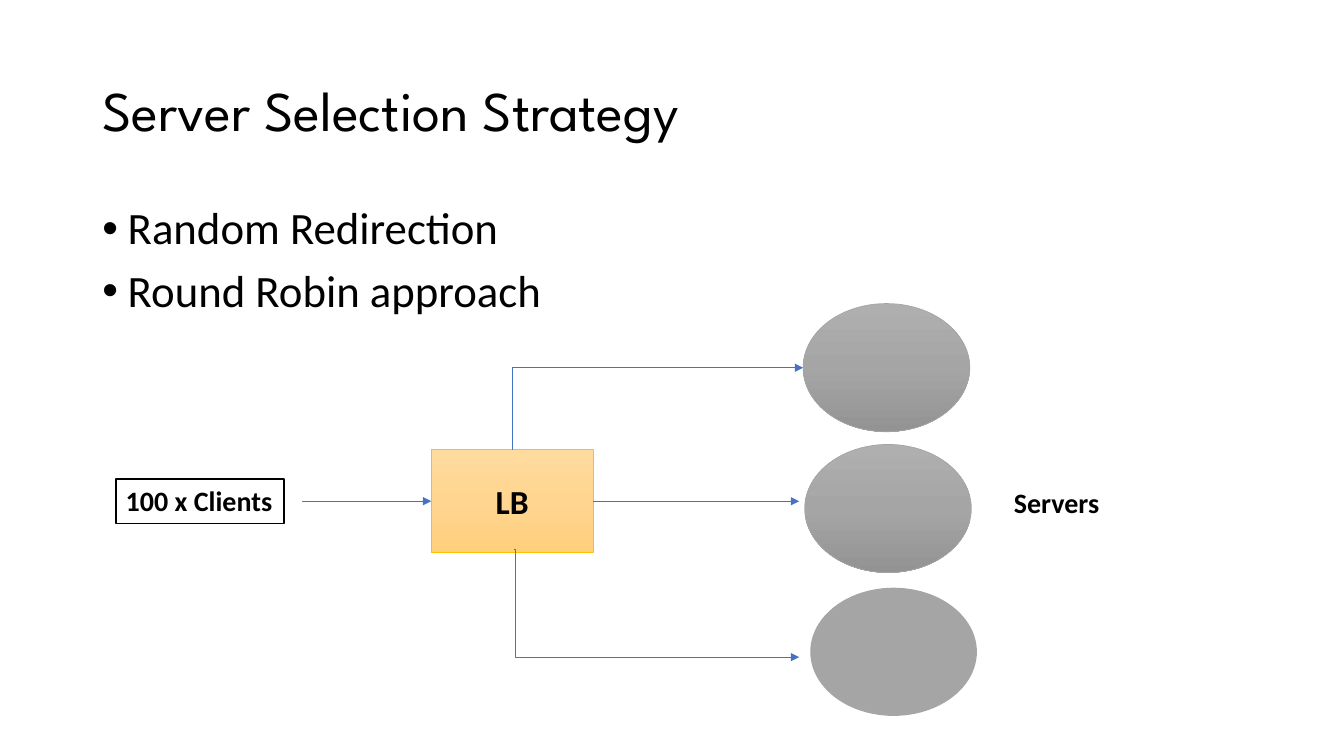
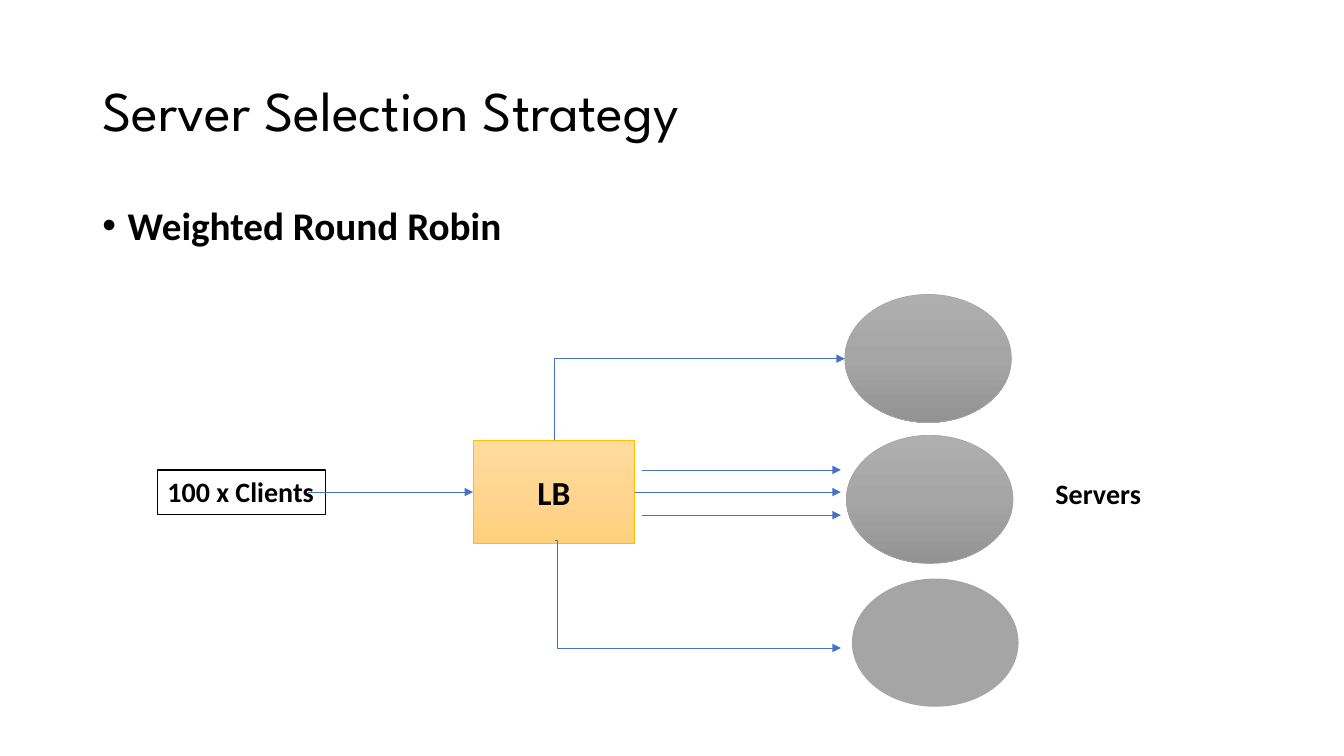
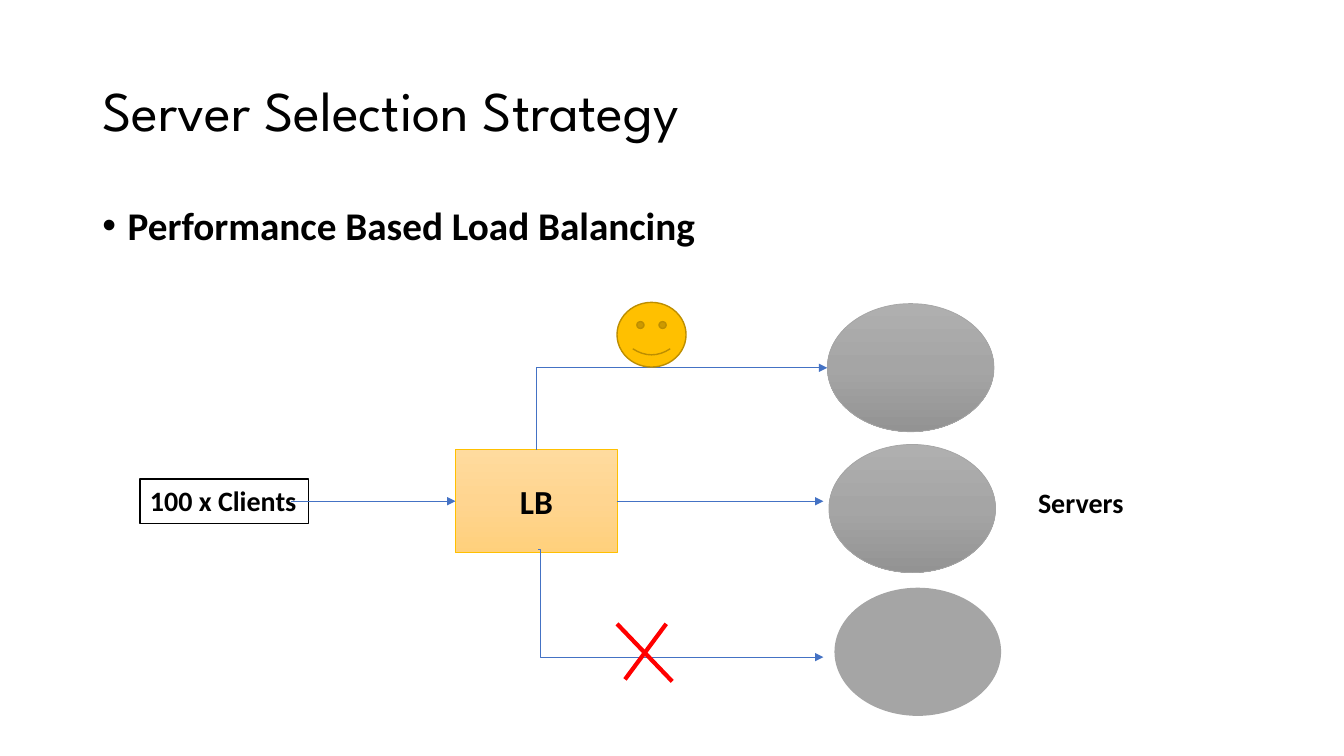
import copy
import dataclasses

import pptx
import pptx.dml.color
import pptx.enum.shapes
import pptx.enum.text
import pptx.oxml.ns
import pptx.util

Cm = pptx.util.Cm
Pt = pptx.util.Pt
qn = pptx.oxml.ns.qn
SHAPES = pptx.enum.shapes.MSO_SHAPE
CONNECTORS = pptx.enum.shapes.MSO_CONNECTOR
ALIGN = pptx.enum.text.PP_ALIGN
ANCHOR = pptx.enum.text.MSO_ANCHOR


@dataclasses.dataclass(frozen=True)
class Theme:
    """Colours, fonts and type sizes shared by all slides."""
    ink: str = "000000"
    paper: str = "FFFFFF"
    arrow: str = "4472C4"
    gold: str = "FFC000"
    dark_gold: str = "BD8E00"
    grey: str = "A5A5A5"
    alarm: str = "FF0000"
    gold_shades: tuple = ("FFDB9E", "FFD590", "FFD07C")
    grey_shades: tuple = ("AFAFAF", "A5A5A5", "939393")
    title_font: str = "League Spartan"
    body_font: str = "Calibri"
    title_size: int = 40
    bullet_size: int = 32
    strong_bullet_size: int = 28
    balancer_size: int = 24
    label_size: int = 20
    thin: float = 0.5
    medium: float = 1
    thick: float = 3


def rgb(code):
    """Turn a hex code into a colour."""
    return pptx.dml.color.RGBColor.from_string(code)


class Deck:
    """Holds the theme, the current slide and the origin of its diagram."""

    def __init__(self, theme):
        self.theme = theme
        self.presentation = pptx.Presentation()
        self.presentation.slide_width = Cm(33.87)
        self.presentation.slide_height = Cm(19.05)
        self.slide = None
        self.origin = (0, 0)

    def start_slide(self, title, bullets, strong, origin):
        """Add a slide with title and bullets; later places count from origin."""
        theme = self.theme
        self.slide = self.presentation.slides.add_slide(self.presentation.slide_layouts[6])
        self.origin = (0, 0)
        heading = self.text((2.33, 1.02, 29.21, 3.68), [title], theme.title_size,
                            font=theme.title_font, anchor=ANCHOR.MIDDLE)
        heading.paragraphs[0].line_spacing = 0.9
        size = theme.strong_bullet_size if strong else theme.bullet_size
        body = self.text((2.33, 5.07, 29.21, 12.09), bullets, size, bold=strong)
        for paragraph in body.paragraphs:
            paragraph.line_spacing = 0.9
            paragraph.space_before = Pt(10)
            self.bullet(paragraph)
        self.origin = origin

    def bullet(self, paragraph):
        """Give a paragraph a hanging round bullet."""
        properties = paragraph._p.get_or_add_pPr()
        properties.set("marL", str(Cm(0.64)))
        properties.set("indent", str(-Cm(0.64)))
        marks = (("a:buFont", "typeface", "Arial"), ("a:buChar", "char", "•"))
        following = properties.find(qn("a:defRPr"))
        for tag, name, value in marks:
            mark = properties.makeelement(qn(tag), {name: value})
            if following is None:
                properties.append(mark)
            else:
                following.addprevious(mark)

    def place(self, x, y):
        """Shift a point by the diagram origin."""
        return Cm(self.origin[0] + x), Cm(self.origin[1] + y)

    def fill_text(self, frame, lines, size, font=None, bold=False, align=ALIGN.LEFT,
                  anchor=ANCHOR.TOP, wrap=True):
        """Fill a text frame, one paragraph a line."""
        frame.word_wrap = wrap
        frame.vertical_anchor = anchor
        frame.text = "\n".join(lines)
        for paragraph in frame.paragraphs:
            paragraph.alignment = align
            paragraph.font.name = font or self.theme.body_font
            paragraph.font.size = Pt(size)
            paragraph.font.bold = bold
            paragraph.font.color.rgb = rgb(self.theme.ink)
        return frame

    def text(self, box, lines, size, **style):
        """Add a text box and return its frame."""
        x, y, width, height = box
        area = self.slide.shapes.add_textbox(*self.place(x, y), Cm(width), Cm(height))
        return self.fill_text(area.text_frame, lines, size, **style)

    def shape(self, kind, box, fill, line=None, weight=0.5):
        """Add a preset shape; a tuple of colours fills it from top to bottom."""
        x, y, width, height = box
        shape = self.slide.shapes.add_shape(kind, *self.place(x, y), Cm(width), Cm(height))
        shape.shadow.inherit = False
        if isinstance(fill, tuple):
            self.shade(shape, fill)
        else:
            shape.fill.solid()
            shape.fill.fore_color.rgb = rgb(fill)
        if line:
            shape.line.color.rgb = rgb(line)
            shape.line.width = Pt(weight)
        else:
            shape.line.fill.background()
        return shape

    def shade(self, shape, shades):
        """Apply an even three-stop vertical gradient."""
        shape.fill.gradient()
        shape.fill.gradient_angle = 270
        stops = shape._element.spPr.find(".//" + qn("a:gsLst"))
        stops.insert(1, copy.deepcopy(stops[0]))
        for index, (stop, shade) in enumerate(zip(shape.fill.gradient_stops, shades)):
            stop.color.rgb = rgb(shade)
            stop.position = index / 2

    def line(self, start, end, color=None, weight=None, arrow=True, kind=CONNECTORS.STRAIGHT):
        """Add a connector, by default a thin arrow."""
        connector = self.slide.shapes.add_connector(kind, *self.place(*start), *self.place(*end))
        connector.line.color.rgb = rgb(color or self.theme.arrow)
        connector.line.width = Pt(weight or self.theme.thin)
        properties = connector._element.spPr
        if arrow:
            stroke = properties.find(qn("a:ln"))
            stroke.append(stroke.makeelement(qn("a:tailEnd"), {"type": "triangle"}))
        properties.append(properties.makeelement(qn("a:effectLst"), {}))
        return connector

    def up_then_right(self, start, end):
        """Add an arrow with one corner: a quarter-turned, flipped elbow."""
        middle_x, middle_y = (start[0] + end[0]) / 2, (start[1] + end[1]) / 2
        half_run, half_rise = (end[0] - start[0]) / 2, (start[1] - end[1]) / 2
        elbow = self.line((middle_x + half_rise, middle_y + half_run),
                          (middle_x - half_rise, middle_y - half_run), kind=CONNECTORS.ELBOW)
        properties = elbow._element.spPr
        properties.find(qn("a:xfrm")).set("rot", str(90 * 60000))
        properties.find(qn("a:prstGeom")).set("prst", "bentConnector2")

    def down_then_right(self, start, end):
        """Add an elbow arrow that turns down right after its start."""
        elbow = self.line(start, end, kind=CONNECTORS.ELBOW)
        geometry = elbow._element.spPr.find(qn("a:prstGeom"))
        guides = geometry.find(qn("a:avLst"))
        if guides is None:
            guides = geometry.makeelement(qn("a:avLst"), {})
            geometry.append(guides)
        guides.append(guides.makeelement(qn("a:gd"), {"name": "adj1", "fmla": "val 700"}))

    def balancing_diagram(self, clients_arrow_start):
        """Draw clients, load balancer and three servers around the origin."""
        theme = self.theme
        balancer = self.shape(SHAPES.RECTANGLE, (0, 0, 4.08, 2.6), theme.gold_shades, theme.gold)
        self.fill_text(balancer.text_frame, ["LB"], theme.balancer_size, bold=True,
                       align=ALIGN.CENTER, anchor=ANCHOR.MIDDLE)
        servers = ((9.37, -3.68, theme.grey_shades, theme.grey),
                   (9.41, -0.13, theme.grey_shades, theme.grey),
                   (9.55, 3.48, theme.grey, None))
        for x, y, fill, line in servers:
            self.shape(SHAPES.OVAL, (x, y, 4.2, 3.23), fill, line)
        self.up_then_right((2.04, 0), (9.37, -2.06))
        self.down_then_right((2.08, 2.51), (9.27, 5.23))
        self.line((4.08, 1.3), (9.27, 1.3))
        clients = self.shape(SHAPES.RECTANGLE, (-7.95, 0.74, 4.24, 1.12), theme.paper,
                             theme.ink, theme.medium)
        self.fill_text(clients.text_frame, ["100 x Clients"], theme.label_size, bold=True,
                       wrap=False)
        self.line((clients_arrow_start, 1.3), (0, 1.3))
        self.text((14.43, 0.79, 2.69, 1.12), ["Servers"], theme.label_size, bold=True, wrap=False)


def random_and_round_robin(deck, title):
    """Slide with the two simple strategies."""
    deck.start_slide(title, ["Random Redirection", "Round Robin approach"], False, (10.87, 11.33))
    deck.balancing_diagram(-3.25)


def weighted_round_robin(deck, title):
    """Slide where the middle server gets three arrows."""
    deck.start_slide(title, ["Weighted Round Robin"], True, (11.92, 11.1))
    deck.balancing_diagram(-4.15)
    for y in (1.88, 0.74):
        deck.line((4.27, y), (9.27, y))


def performance_based(deck, title):
    """Slide with a favoured server and a crossed-out one."""
    theme = deck.theme
    deck.start_slide(title, ["Performance Based Load Balancing"], True, (11.48, 11.33))
    deck.balancing_diagram(-4.15)
    for start, end in (((5.46, 5.84), (4.07, 4.39)), ((4.27, 5.79), (5.31, 4.39))):
        deck.line(start, end, theme.alarm, theme.thick, arrow=False)
    deck.shape(SHAPES.SMILEY_FACE, (4.07, -3.71, 1.74, 1.63), theme.gold,
               theme.dark_gold, theme.medium)


def main():
    """Build and save the presentation."""
    deck = Deck(Theme())
    for build in (random_and_round_robin, weighted_round_robin, performance_based):
        build(deck, "Server Selection Strategy")
    deck.presentation.save("out.pptx")


main()
